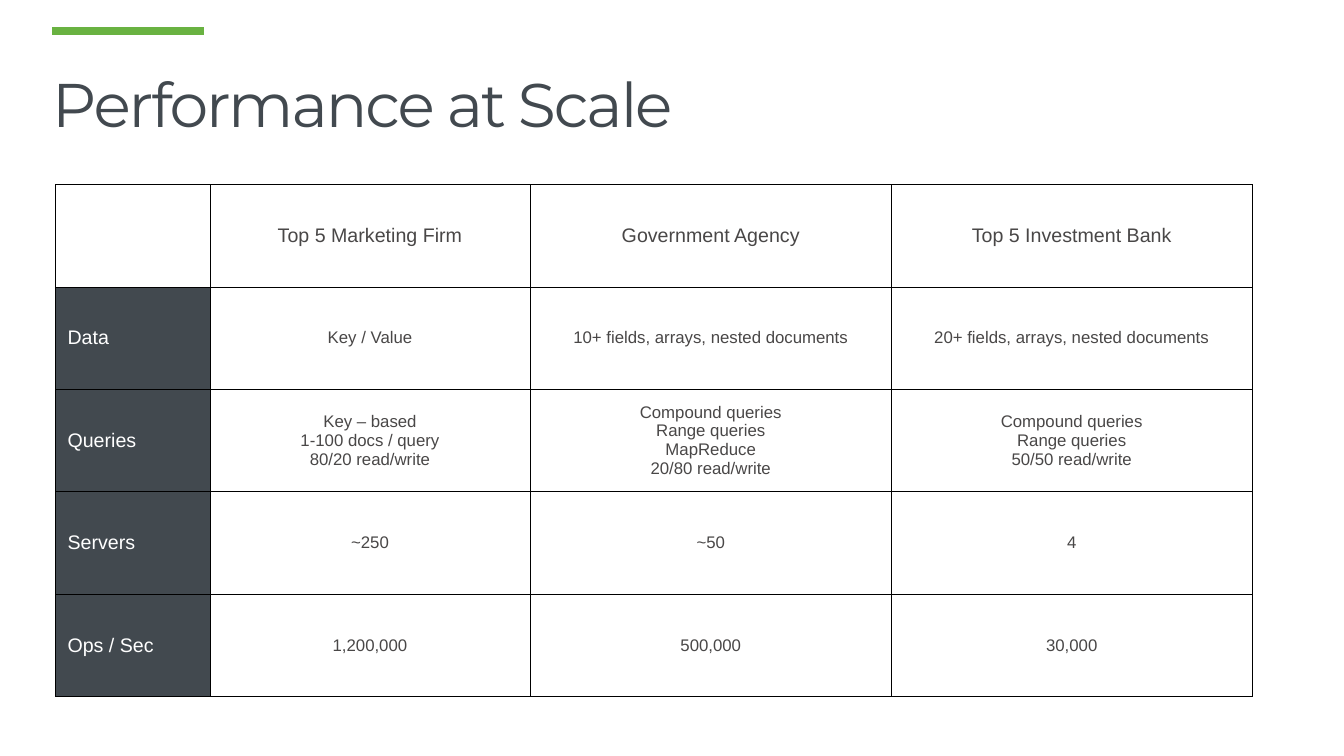
from dataclasses import dataclass

from lxml import etree
from pptx import Presentation
from pptx import util as u
from pptx.dml.color import RGBColor
from pptx.enum import shapes, text
from pptx.oxml import ns
from pptx.slide import Slide
from pptx.table import _Cell


@dataclass(frozen=True)
class Theme:
    slate: str = "42494F"
    green: str = "69B241"
    body: str = "494747"
    white: str = "FFFFFF"
    border: str = "000000"
    title_font: str = "Montserrat"
    table_font: str = "Arial"
    title_size: float = 44
    heading_size: float = 14
    value_size: float = 12
    border_width: float = 0.25
    accent_width: float = 6


@dataclass(frozen=True)
class CellStyle:
    size: float
    color: str
    align: text.PP_ALIGN
    fill: str | None = None


THEME = Theme()
HEADER = CellStyle(THEME.heading_size, THEME.body, text.PP_ALIGN.CENTER)
LABEL = CellStyle(THEME.heading_size, THEME.white, text.PP_ALIGN.LEFT, THEME.slate)
VALUE = CellStyle(THEME.value_size, THEME.body, text.PP_ALIGN.CENTER)

COLUMN_WIDTHS = (1.53, 3.18, 3.58, 3.58)
TABLE_HEIGHT = 5.08
ROWS = (
    ("", "Top 5 Marketing Firm", "Government Agency", "Top 5 Investment Bank"),
    (
        "Data",
        "Key / Value",
        "10+ fields, arrays, nested documents",
        "20+ fields, arrays, nested documents",
    ),
    (
        "Queries",
        "Key – based\n1-100 docs / query\n80/20 read/write",
        "Compound queries\nRange queries\nMapReduce\n20/80 read/write",
        "Compound queries\nRange queries\n50/50 read/write",
    ),
    ("Servers", "~250", "~50", "4"),
    ("Ops / Sec", "1,200,000", "500,000", "30,000"),
)


def add_title(page: Slide, wording: str) -> None:
    box = page.shapes.add_textbox(
        u.Inches(0.42), u.Inches(0), u.Inches(12.83), u.Inches(1.45)
    )
    frame = box.text_frame
    frame.word_wrap = True
    frame.vertical_anchor = text.MSO_ANCHOR.BOTTOM
    frame.text = wording
    para = frame.paragraphs[0]
    para.line_spacing = 0.9
    span = para.runs[0]
    span.font.name = THEME.title_font
    span.font.size = u.Pt(THEME.title_size)
    span.font.color.rgb = RGBColor.from_string(THEME.slate)
    span.font._element.set("spc", "-150")


def add_accent(page: Slide) -> None:
    accent = page.shapes.add_connector(
        shapes.MSO_CONNECTOR.STRAIGHT,
        u.Inches(0.52), u.Inches(0.31), u.Inches(2.02), u.Inches(0.31),
    )
    accent.line.color.rgb = RGBColor.from_string(THEME.green)
    accent.line.width = u.Pt(THEME.accent_width)
    etree.SubElement(accent._element.spPr, ns.qn("a:effectLst"))


def add_borders(cell: _Cell) -> None:
    properties = cell._tc.get_or_add_tcPr()
    for side in ("a:lnL", "a:lnR", "a:lnT", "a:lnB"):
        line = etree.SubElement(properties, ns.qn(side))
        line.set("w", str(u.Pt(THEME.border_width)))
        fill = etree.SubElement(line, ns.qn("a:solidFill"))
        etree.SubElement(fill, ns.qn("a:srgbClr")).set("val", THEME.border)


def fill_cell(cell: _Cell, wording: str, style: CellStyle) -> None:
    add_borders(cell)
    if style.fill:
        cell.fill.solid()
        cell.fill.fore_color.rgb = RGBColor.from_string(style.fill)
    else:
        cell.fill.background()
    cell.margin_left = cell.margin_right = u.Inches(0.12)
    cell.margin_top = cell.margin_bottom = u.Inches(0.05)
    cell.vertical_anchor = text.MSO_ANCHOR.MIDDLE
    cell.text_frame.text = wording
    for para in cell.text_frame.paragraphs:
        para.alignment = style.align
        for span in para.runs:
            span.font.name = THEME.table_font
            span.font.size = u.Pt(style.size)
            span.font.color.rgb = RGBColor.from_string(style.color)


def style_for(row: int, column: int) -> CellStyle:
    if row == 0:
        return HEADER
    return LABEL if column == 0 else VALUE


def add_comparison(page: Slide) -> None:
    table = page.shapes.add_table(
        len(ROWS), len(COLUMN_WIDTHS),
        u.Inches(0.55), u.Inches(1.83),
        u.Inches(sum(COLUMN_WIDTHS)), u.Inches(TABLE_HEIGHT),
    ).table
    table.first_row = False
    table.horz_banding = False
    for column, width in zip(table.columns, COLUMN_WIDTHS):
        column.width = u.Inches(width)
    for row, wordings in enumerate(ROWS):
        for column, wording in enumerate(wordings):
            fill_cell(table.cell(row, column), wording, style_for(row, column))


def main() -> None:
    deck = Presentation()
    deck.slide_width = u.Inches(13.33)
    deck.slide_height = u.Inches(7.5)
    page = deck.slides.add_slide(deck.slide_layouts[6])
    add_title(page, "Performance at Scale")
    add_accent(page)
    add_comparison(page)
    deck.save("out.pptx")


if __name__ == "__main__":
    main()
